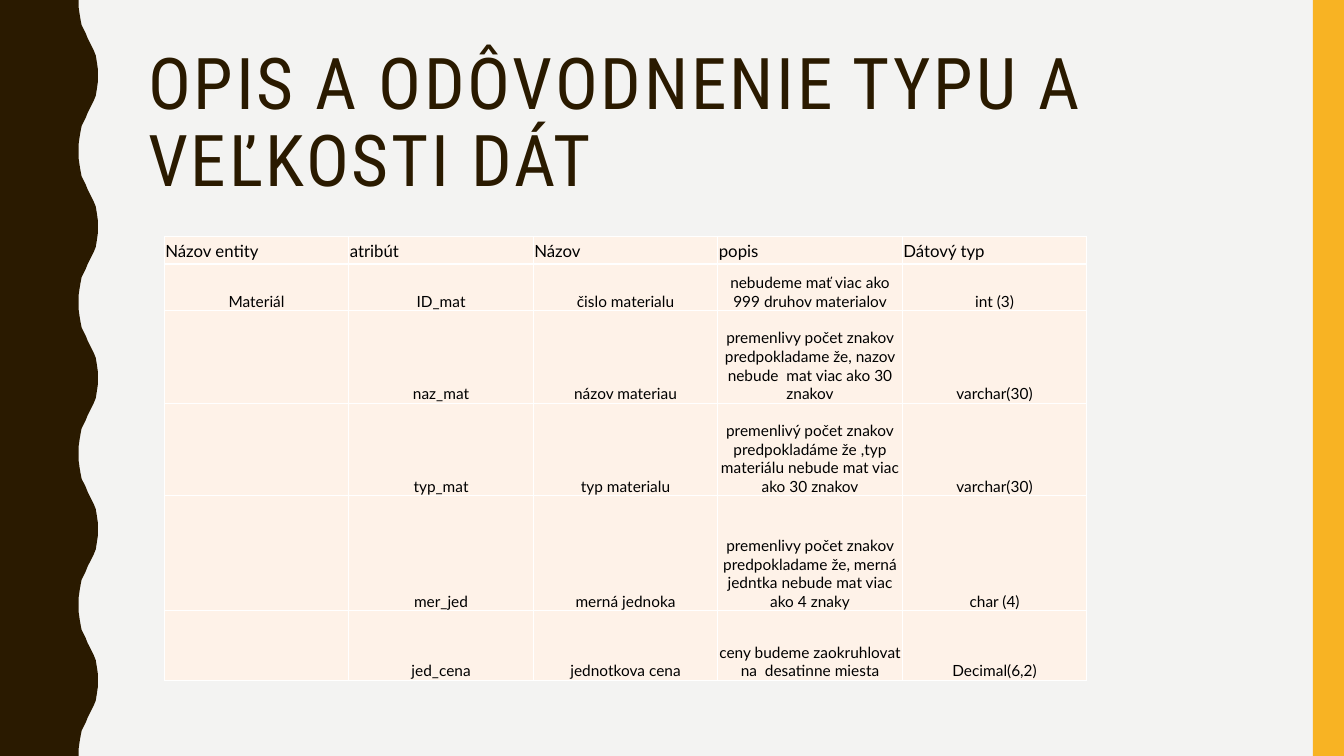
"""Build a slide that explains the data types of the material entity."""
from lxml import etree
from pptx import Presentation, util as u
from pptx.dml.color import RGBColor
from pptx.enum import shapes, text
from pptx.oxml.ns import qn

COLORS = {"paper": "F3F3F2", "brown": "2A1A00", "amber": "F8B323",
          "cell": "FEF2E8", "border": "FFFFFF", "ink": "000000"}
HEAD_FONT, BODY_FONT = "Roboto Condensed", "Lato"
WIDTH, HEIGHT = 13.33, 7.5

# One half of a wave, from trough to crest; the other half mirrors it.
HALF_WAVE = [(0.78, 0), (0.78, 0.07), (0.79, 0.14), (0.8, 0.2), (0.81, 0.25),
             (0.83, 0.29), (0.85, 0.33), (0.87, 0.38), (0.89, 0.42),
             (0.91, 0.46), (0.93, 0.5), (0.95, 0.55), (0.96, 0.61),
             (0.97, 0.68), (0.97, 0.75)]
PERIOD = 1.5

COL_WIDTH = 1.83
ROW_HEIGHTS = [0.27, 0.46, 0.92, 0.92, 1.14, 0.69]
ROWS = [
    ["Názov entity", "atribút", "Názov", "popis", "Dátový typ"],
    ["Materiál", "ID_mat", "čislo materialu",
     "nebudeme mať viac ako 999 druhov materialov", "int (3)"],
    ["", "naz_mat", "názov materiau",
     "premenlivy počet znakov predpokladame že, nazov nebude  mat viac ako 30 znakov",
     "varchar(30)"],
    ["", "typ_mat", "typ materialu",
     "premenlivý počet znakov\n"
     "predpokladáme že ,typ materiálu nebude mat viac ako 30 znakov",
     "varchar(30)"],
    ["", "mer_jed", "merná jednoka",
     "premenlivy počet znakov predpokladame že, merná jedntka nebude mat viac ako 4 znaky",
     "char (4)"],
    ["", "jed_cena", "jednotkova cena",
     "ceny budeme zaokruhlovat na  desatinne miesta", "Decimal(6,2)"],
]


def rgb(name):
    """Return the named colour."""
    return RGBColor.from_string(COLORS[name])


def write(tf, content, size=11, font=BODY_FONT, color="ink", align="LEFT",
          line_spacing=None, tracking=0):
    """Fill a text frame, one paragraph for each line of the content."""
    for i, line in enumerate(content.split("\n")):
        p = tf.add_paragraph() if i else tf.paragraphs[0]
        p.alignment = getattr(text.PP_ALIGN, align)
        p.line_spacing = line_spacing
        r = p.add_run()
        r.text = line
        r.font.size, r.font.name = u.Pt(size), font
        r.font.color.rgb = rgb(color)
        if tracking:
            r._r.get_or_add_rPr().set("spc", str(tracking * 100))


def add_borders(cell, color, points=1):
    """Draw all four borders of a table cell."""
    tcPr = cell._tc.get_or_add_tcPr()
    for side in ("lnL", "lnR", "lnT", "lnB"):
        ln = etree.SubElement(tcPr, qn(f"a:{side}"), w=str(u.Pt(points)))
        fill = etree.SubElement(ln, qn("a:solidFill"))
        etree.SubElement(fill, qn("a:srgbClr"), val=COLORS[color])


class Deck:
    """Holds the current slide and draws styled elements on it."""

    def __init__(self, s):
        """Take the slide and paint its background."""
        self.s = s
        s.background.fill.solid()
        s.background.fill.fore_color.rgb = rgb("paper")

    def paint(self, sp, color):
        """Give a shape a flat fill with no line or shadow."""
        sp.shadow.inherit = False
        sp.fill.solid()
        sp.fill.fore_color.rgb = rgb(color)
        sp.line.fill.background()

    def bar(self, x, y, w, h, color):
        """Add a plain rectangle."""
        sp = self.s.shapes.add_shape(shapes.MSO_SHAPE.RECTANGLE,
                                     *map(u.Inches, (x, y, w, h)))
        self.paint(sp, color)

    def wavy_band(self, color):
        """Add the left band with its repeating wavy edge."""
        wave = HALF_WAVE + [(x, PERIOD - y) for x, y in HALF_WAVE[-2::-1]]
        edge = [(x, y + n * PERIOD) for n in range(round(HEIGHT / PERIOD))
                for x, y in wave]
        points = [(u.Inches(x), u.Inches(y)) for x, y in edge + [(0, HEIGHT)]]
        builder = self.s.shapes.build_freeform(0, 0)
        builder.add_line_segments(points, close=True)
        self.paint(builder.convert_to_shape(), color)

    def title(self, x, y, w, h, content):
        """Add the slide heading."""
        sp = self.s.shapes.add_textbox(*map(u.Inches, (x, y, w, h)))
        tf = sp.text_frame
        tf.word_wrap = True
        tf.vertical_anchor = text.MSO_ANCHOR.MIDDLE
        write(tf, content, size=51, font=HEAD_FONT, color="brown",
              line_spacing=0.9, tracking=2)

    def table(self, x, y, rows, col_width, row_heights):
        """Add a table with a left-aligned header and centred body."""
        cols = len(rows[0])
        size = (cols * col_width, sum(row_heights))
        frame = self.s.shapes.add_table(len(rows), cols,
                                        *map(u.Inches, (x, y, *size)))
        table = frame.table
        table.first_row = table.horz_banding = False
        for col in table.columns:
            col.width = u.Inches(col_width)
        for i, (row, height) in enumerate(zip(rows, row_heights)):
            table.rows[i].height = u.Inches(height)
            for j, content in enumerate(row):
                self.cell(table.cell(i, j), content, header=i == 0)

    def cell(self, cell, content, header):
        """Style one table cell and write its content."""
        add_borders(cell, "border")
        cell.fill.solid()
        cell.fill.fore_color.rgb = rgb("cell")
        cell.margin_left = cell.margin_right = cell.margin_top = u.Inches(0.01)
        cell.margin_bottom = 0
        anchor = text.MSO_ANCHOR
        cell.vertical_anchor = anchor.MIDDLE if header else anchor.BOTTOM
        if content:
            write(cell.text_frame, content, size=12 if header else 11,
                  align="LEFT" if header else "CENTER")


def main():
    """Build and save the presentation."""
    prs = Presentation()
    prs.slide_width, prs.slide_height = u.Inches(WIDTH), u.Inches(HEIGHT)
    deck = Deck(prs.slides.add_slide(prs.slide_layouts[6]))
    deck.wavy_band("brown")
    deck.bar(13.02, 0, 0.31, HEIGHT, "amber")
    deck.title(1.37, 0.42, 11.13, 1.63, "OPIS A ODÔVODNENIE TYPU A VEĽKOSTI DÁT")
    deck.table(1.63, 2.35, ROWS, COL_WIDTH, ROW_HEIGHTS)
    prs.save("out.pptx")


main()
